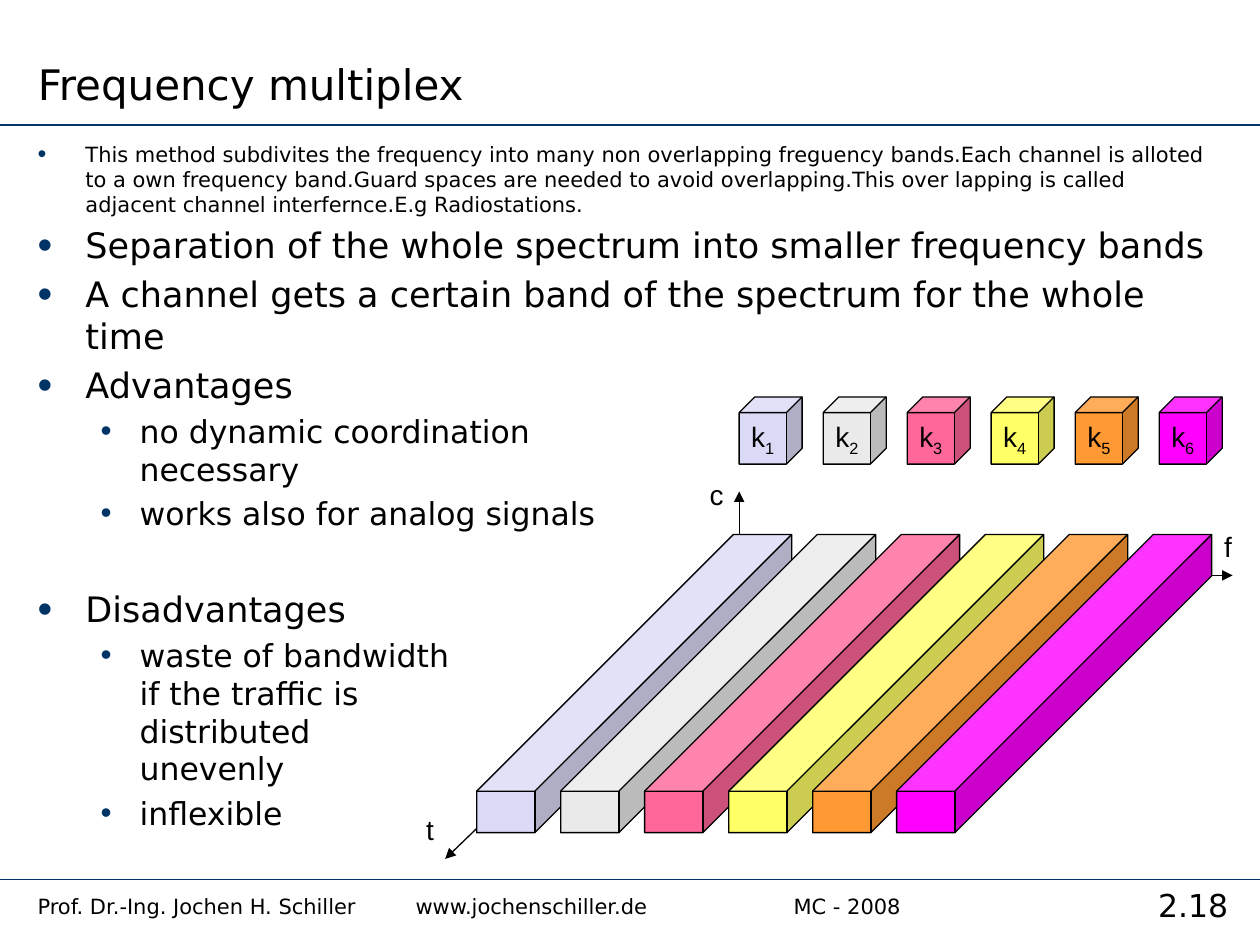
from lxml.etree import SubElement
from pptx import Presentation
from pptx.dml.color import RGBColor
from pptx.enum.shapes import MSO_CONNECTOR, MSO_SHAPE
from pptx.enum.text import MSO_ANCHOR, PP_ALIGN
from pptx.oxml.ns import qn
from pptx.util import Inches, Pt

BLACK = RGBColor(0, 0, 0)
NAVY = RGBColor(0, 0x33, 0x66)
BANDS = [
    RGBColor(0xDA, 0xDA, 0xF6), RGBColor(0xEA, 0xEA, 0xEA),
    RGBColor(0xFF, 0x66, 0x99), RGBColor(0xFF, 0xFF, 0x66),
    RGBColor(0xFF, 0x99, 0x33), RGBColor(0xFF, 0, 0xFF),
]
SANS, ARIAL = "DejaVu Sans", "Arial"
COLS, ROWS = 60, 45
UNIT = Inches(10) / COLS

POINTS = [
    (0, 12, 2.4, "This method subdivites the frequency into many non overlapping "
     "freguency bands.Each channel is alloted to a own frequency band.Guard spaces "
     "are needed to avoid overlapping.This over lapping is called adjacent channel "
     "interfernce.E.g Radiostations."),
    (0, 20, 4, "Separation of the whole spectrum into smaller frequency bands"),
    (0, 20, 4, "A channel gets a certain band of the spectrum for the whole time"),
    (0, 20, 4, "Advantages"),
    (1, 18, 3.6, "no dynamic coordination\nnecessary"),
    (1, 18, 3.6, "works also for analog signals"),
    (0, 20, 32, "Disadvantages"),
    (1, 18, 3.6, "waste of bandwidth\nif the traffic is\ndistributed\nunevenly"),
    (1, 18, 3.6, "inflexible"),
]


def grid(*nums):
    return [round(n * UNIT) for n in nums]


def write(para, text, size=16, font=ARIAL, align=PP_ALIGN.LEFT, gap=0, base=0):
    para.alignment = align
    para.space_before = Pt(gap)
    for i, line in enumerate(text.split("\n")):
        if i:
            para.add_line_break()
        run = para.add_run()
        run.text = line
        run.font.size = Pt(size)
        run.font.name = font
        run.font.color.rgb = BLACK
        if base:
            run.font._element.set("baseline", str(base * 1000))


def label(slide, box, text, wrap=True, **style):
    frame = slide.shapes.add_textbox(*grid(*box)).text_frame
    frame.word_wrap = wrap
    write(frame.paragraphs[0], text, **style)
    return frame


def line(slide, start, end, color=BLACK, width=0.75, arrow=False):
    link = slide.shapes.add_connector(MSO_CONNECTOR.STRAIGHT, *grid(*start, *end))
    link.line.color.rgb = color
    link.line.width = Pt(width)
    if arrow:
        SubElement(link.line._get_or_add_ln(), qn("a:tailEnd"), type="triangle")
    SubElement(link._element.spPr, qn("a:effectLst"))


def cube(slide, box, fill, depth):
    shape = slide.shapes.add_shape(MSO_SHAPE.CUBE, *grid(*box))
    shape.adjustments[0] = depth
    shape.shadow.inherit = False
    shape.fill.solid()
    shape.fill.fore_color.rgb = fill
    shape.line.color.rgb = BLACK
    shape.line.width = Pt(0.75)
    return shape


def bullet(para, level):
    left, hang, size = [(0.38, 0.38, 120), (0.81, 0.31, 100)][level]
    para.level = level
    props = para._p.get_or_add_pPr()
    props.set("marL", str(Inches(left)))
    props.set("indent", str(-Inches(hang)))
    tint = SubElement(props, qn("a:buClr"))
    SubElement(tint, qn("a:srgbClr"), val=str(NAVY))
    SubElement(props, qn("a:buSzPct"), val=str(size * 1000))
    SubElement(props, qn("a:buFont"), typeface=ARIAL)
    SubElement(props, qn("a:buChar"), char="•")


def header(slide, box):
    x, y, w, h = box
    title = slide.shapes.title
    title.left, title.top, title.width, title.height = grid(
        x + 1.2, y, w * 0.66, h * 0.92)
    frame = title.text_frame
    frame.vertical_anchor = MSO_ANCHOR.BOTTOM
    write(frame.paragraphs[0], "Frequency multiplex", size=24, font=SANS)
    line(slide, (x, y + h), (x + w, y + h), NAVY, 1)


def body(slide, box):
    frame = slide.shapes.add_textbox(*grid(*box)).text_frame
    frame.word_wrap = True
    for i, (level, size, gap, text) in enumerate(POINTS):
        para = frame.add_paragraph() if i else frame.paragraphs[0]
        write(para, text, size=size, font=SANS, gap=gap)
        bullet(para, level)


def chart(slide, box):
    x, y = box[:2]
    step = 4
    mid = (x + 17.2, y + 9.4)
    for dx, dy in [(3.2, 22.9), (17.2, 5.4), (40.7, 9.4)]:
        line(slide, mid, (x + dx, y + dy), arrow=True)
    for i, fill in enumerate(BANDS):
        cube(slide, (x + 4.7 + i * step, y + 7.45, 15, 14.2), fill, 0.861)
    for i, fill in enumerate(BANDS):
        key = cube(slide, (x + 17.2 + i * step, y + 0.9, 3, 3.2), fill, 0.25)
        frame = key.text_frame
        frame.word_wrap = False
        frame.vertical_anchor = MSO_ANCHOR.MIDDLE
        para = frame.paragraphs[0]
        write(para, "k", align=PP_ALIGN.CENTER)
        write(para, str(i + 1), align=PP_ALIGN.CENTER, base=-25)
    for text, dx, dy, w in [("f", 39.7, 6.9, 1.56), ("t", 1.7, 20.4, 1.56),
                            ("c", 15.2, 4.45, 1.86)]:
        label(slide, (x + dx, y + dy, w, 2.2), text, wrap=False)


def footer(slide, box):
    x, y, w, h = box
    line(slide, (x, y), (x + w, y), NAVY, 1)
    label(slide, (x + w * 0.894, y, w * 0.106, 2.4), "2.18",
          size=18, font=SANS, align=PP_ALIGN.CENTER)
    frame = label(slide, (x + 1.2, y + 0.36, w * 0.874, 2),
                  "Prof. Dr.-Ing. Jochen H. Schiller\twww.jochenschiller.de\tMC - 2008",
                  size=12, font=SANS)
    tabs = SubElement(frame.paragraphs[0]._p.get_or_add_pPr(), qn("a:tabLst"))
    for stop in (3, 6):
        SubElement(tabs, qn("a:tab"), pos=str(Inches(stop)), algn="l")


def main():
    deck = Presentation()
    deck.slide_width, deck.slide_height = grid(COLS, ROWS)
    slide = deck.slides.add_slide(deck.slide_layouts[5])
    header(slide, (0, 0, COLS, 5.94))
    body(slide, (1.2, 6.42, 57.66, 35.1))
    chart(slide, (18, 18, 42, 24))
    footer(slide, (0, 41.88, COLS, 3.12))
    deck.save("out.pptx")


if __name__ == "__main__":
    main()
